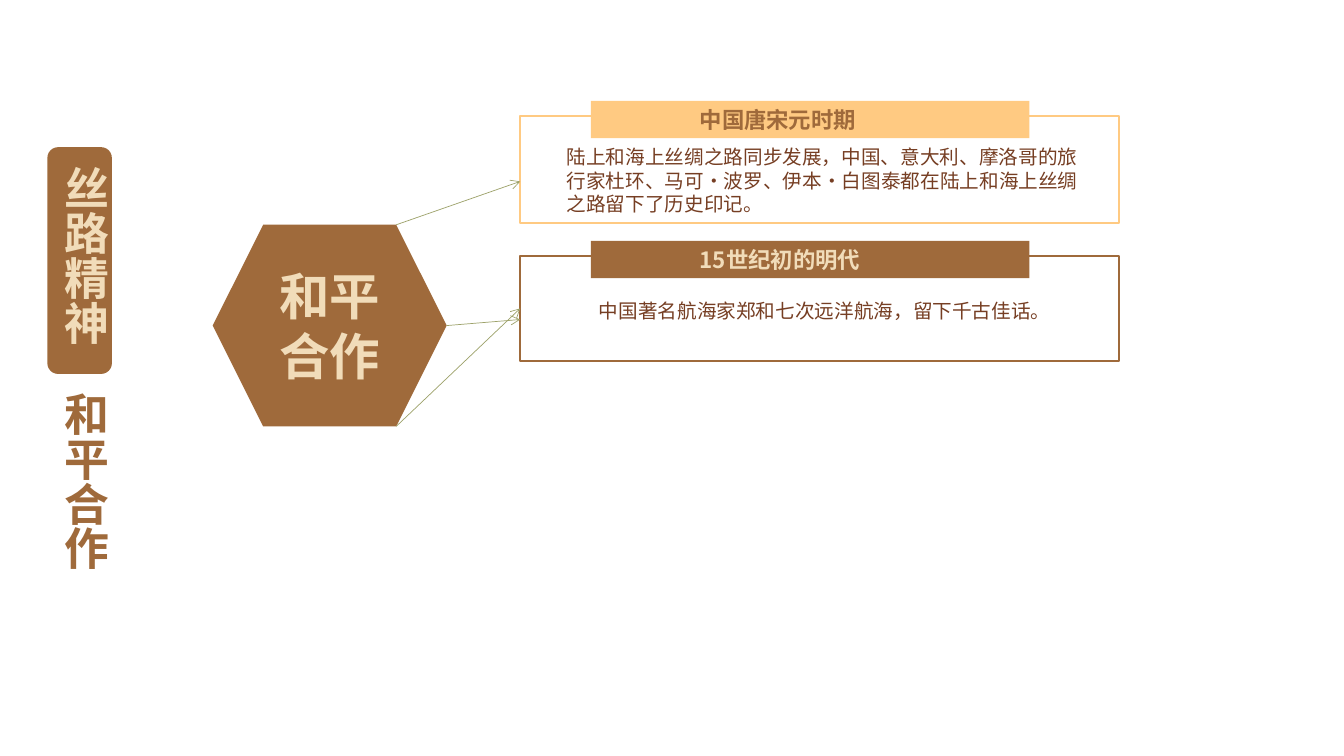
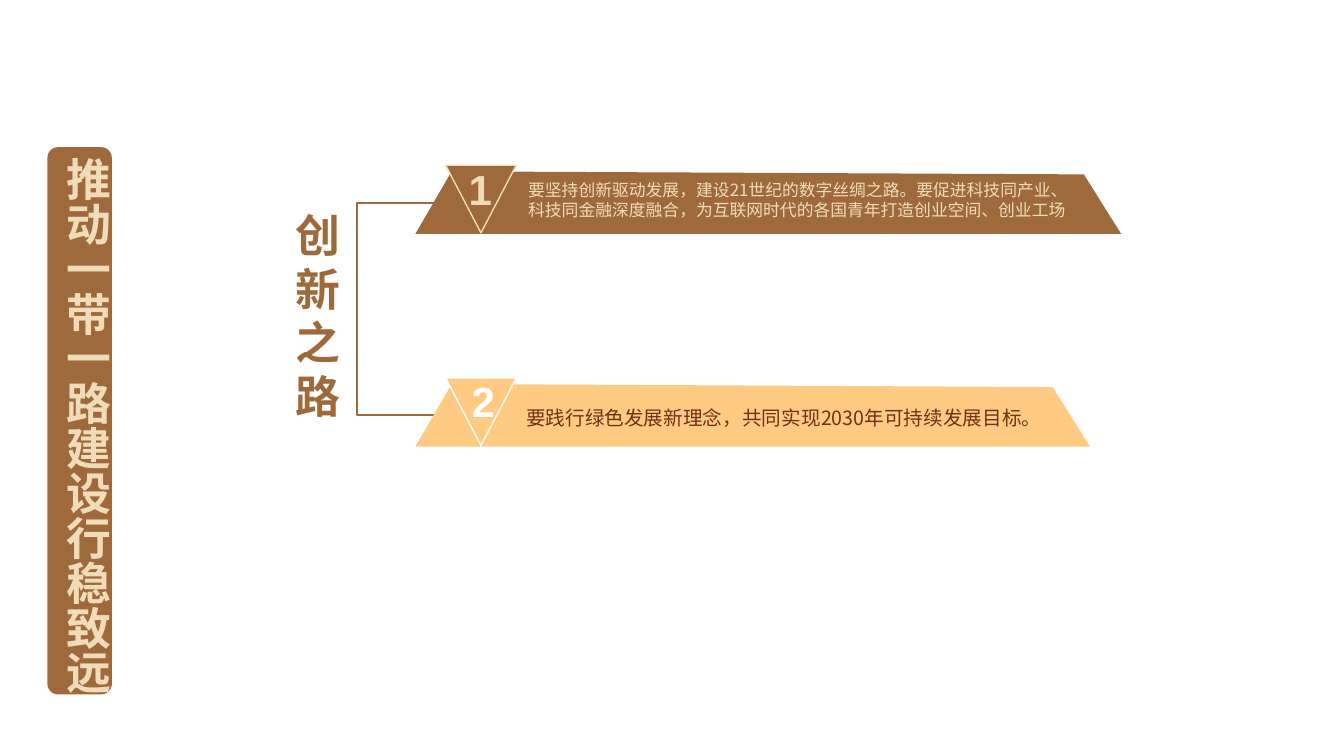
from lxml.etree import SubElement
from pptx import Presentation
from pptx.dml.color import RGBColor
from pptx.enum.shapes import MSO_CONNECTOR, MSO_SHAPE
from pptx.enum.text import MSO_ANCHOR, MSO_AUTO_SIZE, PP_ALIGN
from pptx.oxml.ns import qn
from pptx.util import Pt

PX = 9144  # EMU per px, 100 px to the inch
CJK_FONT = "Noto Sans CJK SC"
NUMBER_FONT = "Arial"
LINE_PITCH = 1.2
COLORS = {
    "brown": "9F6A3B",
    "gold": "FFCA82",
    "cream": "F1DCB9",
    "text": "763E23",
    "dark": "703116",
    "olive": "9DA26A",
    "white": "FFFFFF",
}


def color(name):
    return RGBColor.from_string(COLORS[name])


class Deck:
    """Holds the shared style and the slide being drawn."""

    def __init__(self):
        self.presentation = Presentation()
        self.presentation.slide_width = 1333 * PX
        self.presentation.slide_height = 750 * PX
        self.slide = None

    def add_slide(self):
        layout = self.presentation.slide_layouts[6]
        self.slide = self.presentation.slides.add_slide(layout)

    def paint(self, shape, fill=None, line=None, width=1.5):
        shape.shadow.inherit = False
        if fill:
            shape.fill.solid()
            shape.fill.fore_color.rgb = color(fill)
        else:
            shape.fill.background()
        if line:
            shape.line.color.rgb = color(line)
            shape.line.width = Pt(width)
        else:
            shape.line.fill.background()
        return shape

    def shape(self, kind, box, fill=None, line=None, width=1.5):
        shape = self.slide.shapes.add_shape(kind, *[value * PX for value in box])
        return self.paint(shape, fill, line, width)

    def outline(self, points, fill=None, line=None, close=True):
        builder = self.slide.shapes.build_freeform(*points[0], scale=PX)
        builder.add_line_segments(points[1:], close=close)
        return self.paint(builder.convert_to_shape(), fill, line)

    def set_text(self, shape, text, size, ink, bold=False, font=CJK_FONT,
                 align=PP_ALIGN.LEFT, insets=(10, 5, 10, 5)):
        frame = shape.text_frame
        frame.text = text
        (frame.margin_left, frame.margin_top,
         frame.margin_right, frame.margin_bottom) = [inset * PX for inset in insets]
        paragraph = frame.paragraphs[0]
        paragraph.alignment = align
        if font == CJK_FONT:
            paragraph.line_spacing = Pt(round(size * LINE_PITCH, 1))
        run = paragraph.runs[0]
        run.font.size = Pt(size)
        run.font.bold = bold
        run.font.name = font
        run.font.color.rgb = color(ink)
        SubElement(run.font._element, qn("a:ea")).set("typeface", font)
        return frame

    def text(self, box, text, size, ink, wrap=True, vertical=False, **style):
        shape = self.slide.shapes.add_textbox(*[value * PX for value in box])
        frame = self.set_text(shape, text, size, ink, **style)
        frame.word_wrap = wrap
        frame.auto_size = MSO_AUTO_SIZE.SHAPE_TO_FIT_TEXT
        if vertical:
            frame._txBody.bodyPr.set("vert", "eaVert")

    def arrow(self, start, end):
        connector = self.slide.shapes.add_connector(
            MSO_CONNECTOR.STRAIGHT, *[value * PX for value in start + end])
        connector.line.color.rgb = color("olive")
        connector.line.width = Pt(0.5)
        properties = connector._element.spPr
        SubElement(properties.get_or_add_ln(), qn("a:tailEnd")).set("type", "arrow")
        SubElement(properties, qn("a:effectLst"))
        return connector

    def side_title(self, text, tab_height, text_box, align=PP_ALIGN.LEFT):
        self.shape(MSO_SHAPE.ROUNDED_RECTANGLE, (47, 146, 64, tab_height), "brown")
        self.text(text_box, text, 32, "cream", wrap=False, vertical=True,
                  bold=True, align=align)

    def period_card(self, top, height, heading, accent, ink, body, body_box):
        """Framed card whose heading bar sits across its top edge."""
        card = self.shape(MSO_SHAPE.RECTANGLE, (516, top, 594, height), line=accent)
        bar = self.shape(MSO_SHAPE.RECTANGLE, (586, top - 15, 435, 37), accent)
        frame = self.set_text(bar, heading, 16, ink, bold=True, insets=(108, 4, 8, 4))
        frame.vertical_anchor = MSO_ANCHOR.MIDDLE
        self.text(body_box, body, 14, "text", insets=(8, 4, 8, 4))
        return card

    def numbered_banner(self, top, right, number, number_left, accent, number_ink,
                        body, body_box, size, body_ink):
        """Slanted banner with a numbered triangle at its left end."""
        bottom = top + 62
        self.outline([(448, top), (right - 37, top + 3), (right, bottom),
                      (412, bottom)], accent)
        self.text(body_box, body, size, body_ink)
        triangle = self.shape(MSO_SHAPE.ISOSCELES_TRIANGLE, (442, top - 6, 70, 67),
                              accent, number_ink, 1)
        triangle.rotation = 180
        self.text((number_left, top - 13, 44, 61), number, 30, number_ink,
                  wrap=False, bold=True, font=NUMBER_FONT)


def build_peace(deck):
    deck.add_slide()
    hexagon = deck.shape(MSO_SHAPE.HEXAGON, (211, 223, 232, 200), "brown")
    frame = deck.set_text(hexagon, "和平合作", 36, "cream", bold=True,
                          align=PP_ALIGN.CENTER, insets=(8, 4, 8, 4))
    frame.vertical_anchor = MSO_ANCHOR.MIDDLE
    deck.period_card(
        115, 106, "中国唐宋元时期", "gold", "brown",
        "陆上和海上丝绸之路同步发展，中国、意大利、摩洛哥的旅行家杜环、马可·波罗、"
        "伊本·白图泰都在陆上和海上丝绸之路留下了历史印记。", (554, 140, 538, 78))
    ming_card = deck.period_card(
        254, 104, "15世纪初的明代", "brown", "cream",
        "中国著名航海家郑和七次远洋航海，留下千古佳话。", (586, 293, 533, 31))
    deck.arrow((393, 223), (516, 180))
    deck.arrow((443, 323), (516, 317))
    deck.arrow((393, 423), (516, 306)).end_connect(ming_card, 1)
    deck.side_title("丝路精神", 225, (42, 155, 74, 190))
    deck.text((42, 379, 74, 190), "和平合作", 32, "brown", wrap=False,
              vertical=True, bold=True)


def build_innovation(deck):
    deck.add_slide()
    deck.side_title("推动一带一路建设行稳致远", 543, (44, 146, 74, 549),
                    PP_ALIGN.JUSTIFY)
    deck.outline([(431, 412), (354, 412), (354, 201), (434, 201)],
                 line="brown", close=False)
    deck.numbered_banner(
        170, 1112, "1", 455, "brown", "cream",
        "要坚持创新驱动发展，建设21世纪的数字丝绸之路。要促进科技同产业、"
        "科技同金融深度融合，为互联网时代的各国青年打造创业空间、创业工场",
        (514, 173, 568, 50), 12, "cream")
    deck.numbered_banner(
        381, 1081, "2", 458, "gold", "white",
        "要践行绿色发展新理念，共同实现2030年可持续发展目标。",
        (512, 398, 567, 29), 14, "dark")
    deck.text((283, 201, 77, 226), "创新之路", 32, "brown", bold=True)


def main():
    deck = Deck()
    build_peace(deck)
    build_innovation(deck)
    deck.presentation.save("out.pptx")


if __name__ == "__main__":
    main()
